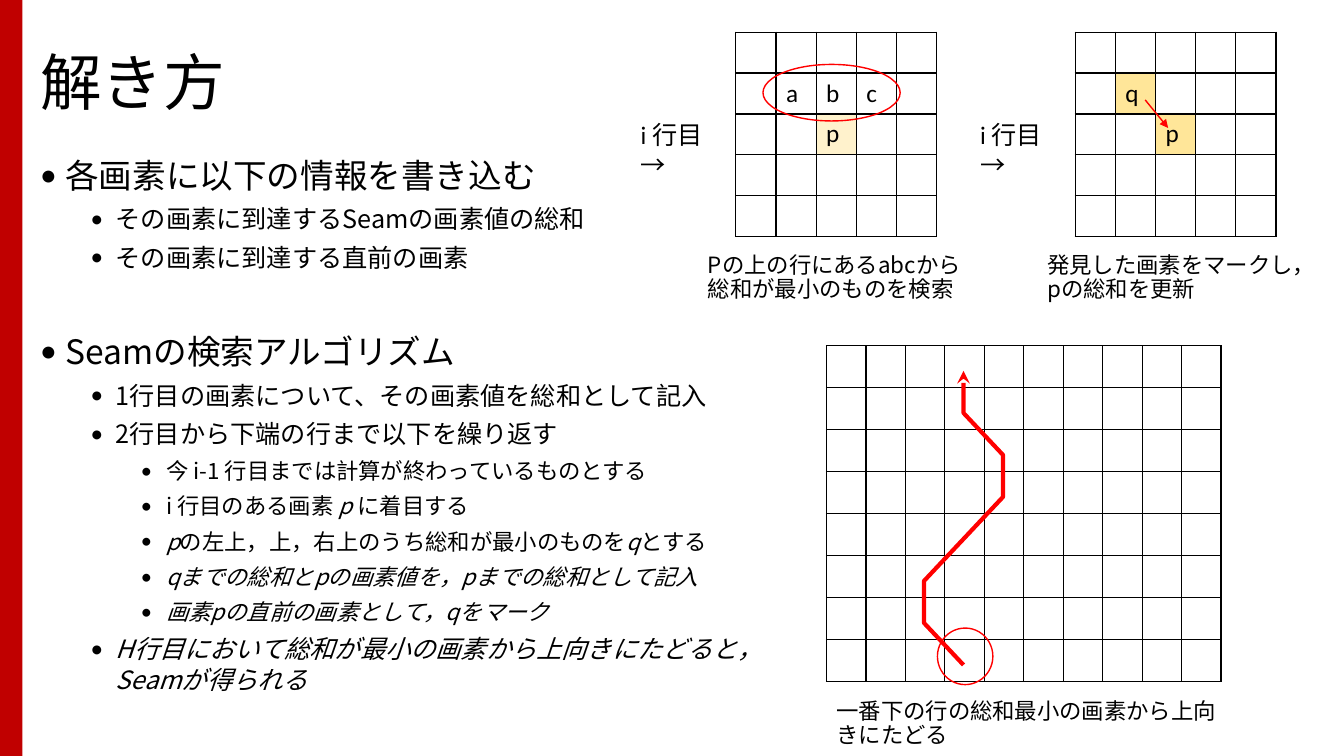
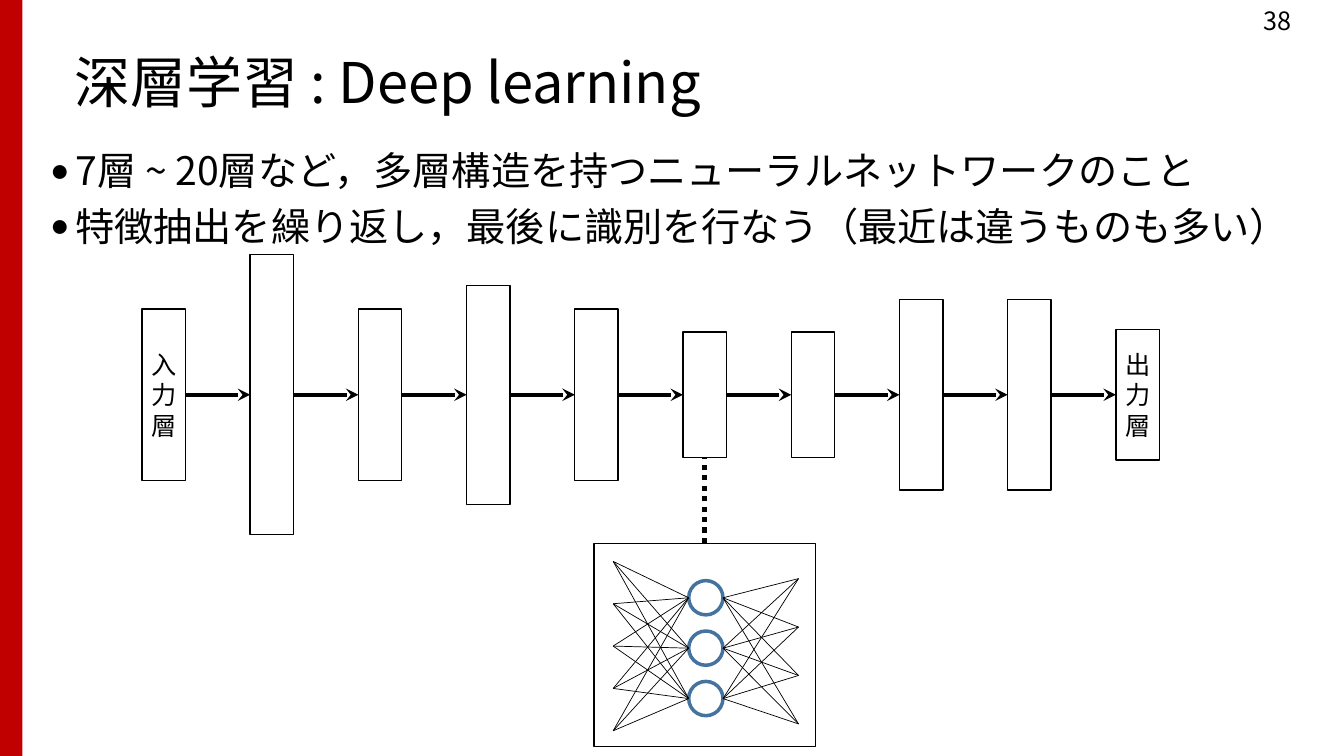
from itertools import product

from lxml import etree
from pptx import Presentation
from pptx import util as u
from pptx.dml.color import RGBColor
from pptx.enum import dml, shapes, text
from pptx.oxml import ns

Pt = u.Pt


class Theme:
    black, red, band = "000000", "FF0000", "C00000"
    candidate, marked, neuron = "FFF2CC", "FFE699", "43739E"
    cjk, latin = "Noto Sans CJK JP", "Calibri"
    search_title, learning_title, learning_body = 44, 40, 28
    levels = (24, 18, 16)
    label, caption = 18, 16
    tight, normal = 1.06, 1.2


SEARCH_TITLE = "解き方"
SEARCH_GAP = 42
# Runs alternate between upright and italic, starting upright.
SEARCH_STEPS = [
    (0, ["各画素に以下の情報を書き込む"], 0),
    (1, ["その画素に到達するSeamの画素値の総和"], 6),
    (1, ["その画素に到達する直前の画素"], 6),
    (0, ["Seamの検索アルゴリズム"], SEARCH_GAP),
    (1, ["1行目の画素について、その画素値を総和として記入"], 6),
    (1, ["2行目から下端の行まで以下を繰り返す"], 6),
    (2, ["今 i-1 行目までは計算が終わっているものとする"], 6),
    (2, ["i 行目のある画素 ", "p ", "に着目する"], 6),
    (2, ["", "p", "の左上，上，右上のうち総和が最小のものを", "q", "とする"], 6),
    (2, ["", "qまでの総和とpの画素値を，pまでの総和として記入"], 6),
    (2, ["", "画素pの直前の画素として，qをマーク"], 6),
    (1, ["", "H行目において総和が最小の画素から上向きにたどると，Seamが得られる"], 6),
]
PIXEL_GRIDS = [
    {"left": 525.6, "caption": "Pの上の行にあるabcから総和が最小のものを検索",
     "letters": {(1, 1): "a", (1, 2): "b", (1, 3): "c", (2, 2): "p"},
     "fills": {(2, 2): Theme.candidate}},
    {"left": 768, "caption": "発見した画素をマークし，pの総和を更新",
     "letters": {(1, 1): "q", (2, 2): "p"},
     "fills": {(1, 1): Theme.marked, (2, 2): Theme.marked}},
]
ROW_LABEL = "i 行目→"
SEAM_COLUMNS = [3, 3, 4, 4, 3, 2, 2, 3]
SEAM_CAPTION = "一番下の行の総和最小の画素から上向きにたどる"

LEARNING_TITLE = "深層学習 : Deep learning"
LEARNING_POINTS = [
    (0, ["7層 ~ 20層など，多層構造を持つニューラルネットワークのこと"], 0),
    (0, ["特徴抽出を繰り返し，最後に識別を行なう（最近は違うものも多い）"], 10),
]
PAGE_NUMBER = "38"
LAYER_HEIGHTS = [122.4, 200, 122.4, 156.4, 122.4, 89.4, 90, 136, 136, 93]
LAYER_LABELS = {0: "入力層", 9: "出力層"}
DETAILED_LAYER = 5


def rgb(color):
    return RGBColor.from_string(color)


def child(parent, tag, **attributes):
    return etree.SubElement(parent, ns.qn(tag), attributes)


def points(*lengths):
    return [Pt(length) for length in lengths]


def add_run(paragraph, words, size, name, italic=False):
    run = paragraph.add_run()
    run.text = words
    for key, value in {"size": Pt(size), "name": name, "italic": italic}.items():
        setattr(run.font, key, value)
    child(run._r.get_or_add_rPr(), "a:ea", typeface=Theme.cjk)
    run.font.color.rgb = rgb(Theme.black)


def add_bullet(paragraph, level):
    props = paragraph._p.get_or_add_pPr()
    props.set("marL", str(Pt(18 + 36 * level)))
    props.set("indent", str(-Pt(18)))
    child(props, "a:buFont", typeface=Theme.latin)
    child(props, "a:buChar", char="•")


def add_words(parent, box, words, size, name=Theme.cjk, spacing=Theme.tight,
              anchor=text.MSO_ANCHOR.MIDDLE):
    frame = parent.add_textbox(*points(*box)).text_frame
    write_words(frame, words, size, name, spacing, anchor)


def write_words(frame, words, size, name, spacing, anchor):
    frame.word_wrap = True
    frame.vertical_anchor = anchor
    paragraph = frame.paragraphs[0]
    paragraph.line_spacing = Pt(size * spacing)
    add_run(paragraph, words, size, name)
    return paragraph


def add_body(slide, box, items, sizes, spacing):
    frame = slide.shapes.add_textbox(*points(*box)).text_frame
    frame.word_wrap = True
    for index, (level, runs, gap) in enumerate(items):
        paragraph = frame.add_paragraph() if index else frame.paragraphs[0]
        add_bullet(paragraph, level)
        size = sizes[level]
        formats = {"level": level, "space_before": Pt(gap),
                   "line_spacing": Pt(size * spacing)}
        for key, value in formats.items():
            setattr(paragraph, key, value)
        for position, words in enumerate(runs):
            if words:
                add_run(paragraph, words, size, Theme.cjk, position % 2 == 1)


def set_line(line, color, width):
    line.color.rgb = rgb(color)
    line.width = Pt(width)


def add_outline(parent, kind, box, color=Theme.black, width=1):
    outline = parent.add_shape(kind, *points(*box))
    outline.shadow.inherit = False
    outline.fill.background()
    set_line(outline.line, color, width)
    return outline


def add_line(parent, start, end, color=Theme.black, width=1, arrow=None):
    line = parent.add_connector(shapes.MSO_CONNECTOR.STRAIGHT, *points(*start, *end))
    set_line(line.line, color, width)
    if arrow:
        child(line.line._get_or_add_ln(), "a:tailEnd", type=arrow)
    child(line._element.spPr, "a:effectLst")
    return line


def add_grid(slide, left, top, rows, columns, cell_width, cell_height,
             letters={}, fills={}):
    box = points(left, top, columns * cell_width, rows * cell_height)
    grid = slide.shapes.add_table(rows, columns, *box).table
    grid.first_row = grid.horz_banding = False
    for column in grid.columns:
        column.width = Pt(cell_width)
    for row in grid.rows:
        row.height = Pt(cell_height)
    for place in product(range(rows), range(columns)):
        cell = grid.cell(*place)
        props = cell._tc.get_or_add_tcPr()
        for side in "LRTB":
            border = child(props, f"a:ln{side}", w=str(Pt(1)))
            child(child(border, "a:solidFill"), "a:srgbClr", val=Theme.black)
        if place in fills:
            cell.fill.solid()
            cell.fill.fore_color.rgb = rgb(fills[place])
        else:
            cell.fill.background()
        if place in letters:
            add_run(cell.text_frame.paragraphs[0], letters[place], Theme.label, Theme.latin)


def start_slide(deck, title, left, width, size):
    slide = deck.slides.add_slide(deck.slide_layouts[6])
    band = slide.shapes.add_shape(shapes.MSO_SHAPE.RECTANGLE, *points(0, 0, 16, 540))
    band.shadow.inherit = False
    band.fill.solid()
    band.fill.fore_color.rgb = rgb(Theme.band)
    band.line.fill.background()
    add_words(slide.shapes, (left, 32, width, 57.6), title, size)
    return slide


def add_seam(slide, left, top, cell_width, cell_height):
    turns = [points(left + (column + 0.47) * cell_width, top + (row + 0.6) * cell_height)
             for row, column in enumerate(SEAM_COLUMNS)]
    builder = slide.shapes.build_freeform(*turns[0])
    builder.add_line_segments(turns[1:], close=False)
    seam = builder.convert_to_shape()
    seam.shadow.inherit = False
    seam.fill.background()
    set_line(seam.line, Theme.red, 3)
    child(seam.line._get_or_add_ln(), "a:headEnd", type="stealth")


def build_search(deck):
    slide = start_slide(deck, SEARCH_TITLE, 21.6, 340, Theme.search_title)
    add_body(slide, (21.6, 107, 523, 420), SEARCH_STEPS, Theme.levels, Theme.normal)
    for grid in PIXEL_GRIDS:
        left = grid["left"]
        add_grid(slide, left, 23, 5, 5, 28.7, 29.2, grid["letters"], grid["fills"])
        add_words(slide.shapes, (left - 27, 170, 196.6, 57.6), grid["caption"], Theme.caption)
        add_words(slide.shapes, (left - 75, 81.6, 73, 51), ROW_LABEL, Theme.label,
                  Theme.latin, Theme.normal, text.MSO_ANCHOR.TOP)
    add_line(slide.shapes, (818, 71.4), (834.4, 91.4), Theme.red, 1, "triangle")

    seam_grid = (590.4, 247)
    cell = (28.2, 30)
    add_grid(slide, *seam_grid, len(SEAM_COLUMNS), 10, *cell)
    add_seam(slide, *seam_grid, *cell)
    for circle in [(545, 46, 98, 40.4), (669.6, 448.6, 39.6, 40.4)]:
        add_outline(slide.shapes, shapes.MSO_SHAPE.OVAL, circle, Theme.red)
    add_words(slide.shapes, (590.4, 494, 289.4, 46), SEAM_CAPTION, Theme.caption)


def add_layers(slide):
    left, pitch, width, middle = 101.4, 77.3, 31, 282
    layers = []
    for index, height in enumerate(LAYER_HEIGHTS):
        box = (left + index * pitch, middle - height / 2, width, height)
        layer = add_outline(slide.shapes, shapes.MSO_SHAPE.RECTANGLE, box)
        if index in LAYER_LABELS:
            label = write_words(layer.text_frame, LAYER_LABELS[index], Theme.label,
                                Theme.latin, Theme.normal, text.MSO_ANCHOR.MIDDLE)
            label.alignment = text.PP_ALIGN.CENTER
        layers.append(layer)
    for source, target in zip(layers, layers[1:]):
        arrow = add_line(slide.shapes, (0, 0), (0, 0), width=3, arrow="stealth")
        arrow.begin_connect(source, 3)
        arrow.end_connect(target, 1)
    return layers


def add_network(slide, center):
    network = slide.shapes.add_group_shape().shapes
    diameter = 24.5
    neurons = [427 + 36 * i for i in range(3)]
    inputs = [401 + 30.25 * i for i in range(5)]
    outputs = [413.3 + 34.6 * i for i in range(4)]
    for y in neurons:
        box = (center - diameter / 2, y - diameter / 2, diameter, diameter)
        add_outline(network, shapes.MSO_SHAPE.OVAL, box, Theme.neuron, 2.5)
    for side, ends in ((-1, inputs), (1, outputs)):
        for y, end in product(neurons, ends):
            add_line(network, (center + side * diameter / 2, y),
                     (center + side * 66.2, end), width=0.5)


def build_learning(deck):
    slide = start_slide(deck, LEARNING_TITLE, 46, 874, Theme.learning_title)
    add_body(slide, (28.8, 105, 931, 90), LEARNING_POINTS,
             [Theme.learning_body], Theme.tight)
    add_words(slide.shapes, (895.6, 0, 57.6, 28.8), PAGE_NUMBER, Theme.label,
              spacing=Theme.normal, anchor=text.MSO_ANCHOR.TOP)
    detailed = add_layers(slide)[DETAILED_LAYER]
    center = (detailed.left + detailed.width / 2) / Pt(1)
    panel = add_outline(slide.shapes, shapes.MSO_SHAPE.RECTANGLE,
                        (center - 79.2, 388, 158.4, 145.4))
    zoom = add_line(slide.shapes, (0, 0), (0, 0), width=3.75)
    zoom.line.dash_style = dml.MSO_LINE.ROUND_DOT
    zoom.begin_connect(panel, 0)
    zoom.end_connect(detailed, 2)
    add_network(slide, center + 0.8)


def main():
    deck = Presentation()
    deck.slide_width, deck.slide_height = points(960, 540)
    build_search(deck)
    build_learning(deck)
    deck.save("out.pptx")


if __name__ == "__main__":
    main()
